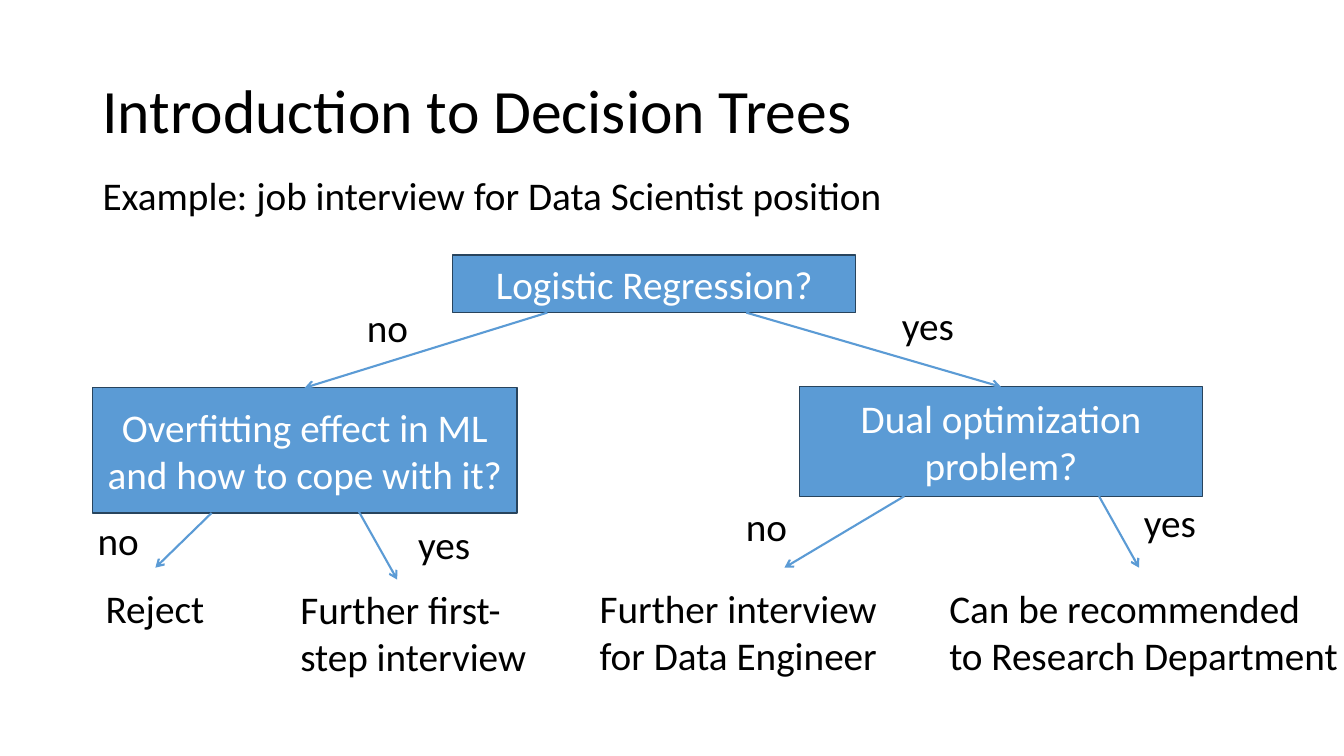
from lxml.etree import SubElement
from pptx import Presentation
from pptx.dml.color import RGBColor
from pptx.enum.shapes import MSO_CONNECTOR, MSO_SHAPE
from pptx.enum.text import MSO_ANCHOR, PP_ALIGN
from pptx.oxml.ns import qn
from pptx.util import Pt

# Content: lengths in points
TITLE = ("Introduction to Decision Trees", (66, 28.8, 828, 104.4))
QUESTIONS = {  # name: (text, (left, top, width, height))
    "root": ("Logistic Regression?", (323.3, 182.3, 288, 41)),
    "no": ("Overfitting effect in ML and how to cope with it?", (66.2, 277, 303, 89.4)),
    "yes": ("Dual optimization problem?", (571, 276.3, 288, 78.3)),
}
BRANCHES = [  # start, end, question reached (None for an outcome)
    ((391, 223.3), (217.7, 277), "no"),
    ((533, 223.3), (715, 276.3), "yes"),
    ((151.2, 366.4), (111, 405.5), None),
    ((255, 363), (283.7, 414), None),
    ((646, 354.4), (560.3, 405.5), None),
    ((785, 354.4), (813.6, 405.5), None),
]
LINE_HEIGHT, TWO_LINES = 41.2, 75.1
TEXTS = [  # text, left, top, width, height, wrapped
    ("Example: job interview for Data Scientist position", 66.2, 118.8, 577.4, LINE_HEIGHT, False),
    ("Reject", 68.4, 414, 85.7, LINE_HEIGHT, False),
    ("Further first-step interview", 207.4, 414.7, 183.6, TWO_LINES, True),
    ("Further interview for Data Engineer", 421.2, 414, 219.6, TWO_LINES, True),
    ("Can be recommended to Research Department", 671, 414, 293, TWO_LINES, True),
]
ANSWER_WIDTHS = {"no": 44.6, "yes": 51.8}
ANSWERS = [  # answer, left, top
    ("no", 254.9, 213.1), ("yes", 637.2, 211.7),
    ("no", 62.6, 365), ("yes", 291.6, 367.9),
    ("no", 525.6, 355), ("yes", 810, 352.1),
]
BLUE, NAVY, BLACK, WHITE = "5B9BD5", "28445D", "000000", "FFFFFF"


def color(value):
    return RGBColor.from_string(value)


def points(values):
    return [Pt(value) for value in values]


def set_attributes(target, values):
    for name, value in values.items():
        setattr(target, name, value)


def write(shape, text, size=28, ink=BLACK, frame_format=None, paragraph_format=None):
    frame = shape.text_frame
    set_attributes(frame, frame_format or {})
    frame.text = text
    paragraph = frame.paragraphs[0]
    set_attributes(paragraph, paragraph_format or {})
    font = paragraph.runs[0].font
    set_attributes(font, {"name": "Calibri", "size": Pt(size)})
    font.color.rgb = color(ink)


def add_question(slide, text, place):
    shape = slide.shapes.add_shape(MSO_SHAPE.RECTANGLE, *points(place))
    shape.shadow.inherit = False
    shape.fill.solid()
    shape.fill.fore_color.rgb = color(BLUE)
    shape.line.color.rgb = color(NAVY)
    shape.line.width = Pt(1)
    write(shape, text, ink=WHITE,
          frame_format={"word_wrap": True, "vertical_anchor": MSO_ANCHOR.MIDDLE},
          paragraph_format={"alignment": PP_ALIGN.CENTER})
    return shape


def add_arrow(slide, start, end, target=None):
    arrow = slide.shapes.add_connector(MSO_CONNECTOR.STRAIGHT, *points(start + end))
    if target is not None:
        arrow.end_connect(target, 0)
    arrow.line.color.rgb = color(BLUE)
    arrow.line.width = Pt(1.5)
    properties = arrow.element.spPr
    SubElement(properties.find(qn("a:ln")), qn("a:tailEnd"), type="arrow")
    SubElement(properties, qn("a:effectLst"))


def add_text(slide, text, left, top, width, height, wrapped):
    box = slide.shapes.add_textbox(*points((left, top, width, height)))
    write(box, text, frame_format={"word_wrap": wrapped})


def main():
    presentation = Presentation()
    set_attributes(presentation, {"slide_width": Pt(960), "slide_height": Pt(540)})
    slide = presentation.slides.add_slide(presentation.slide_layouts[5])

    # Title
    text, place = TITLE
    title = slide.shapes.title
    set_attributes(title, dict(zip(("left", "top", "width", "height"), points(place))))
    write(title, text, size=44,
          frame_format={"vertical_anchor": MSO_ANCHOR.MIDDLE},
          paragraph_format={"alignment": PP_ALIGN.LEFT, "line_spacing": 0.9})

    # Questions and the branches between them
    questions = {name: add_question(slide, *question) for name, question in QUESTIONS.items()}
    for start, end, name in BRANCHES:
        add_arrow(slide, start, end, questions.get(name))

    # Subtitle, outcomes and branch answers
    for entry in TEXTS:
        add_text(slide, *entry)
    for answer, left, top in ANSWERS:
        add_text(slide, answer, left, top, ANSWER_WIDTHS[answer], LINE_HEIGHT, False)

    presentation.save("out.pptx")


if __name__ == "__main__":
    main()
